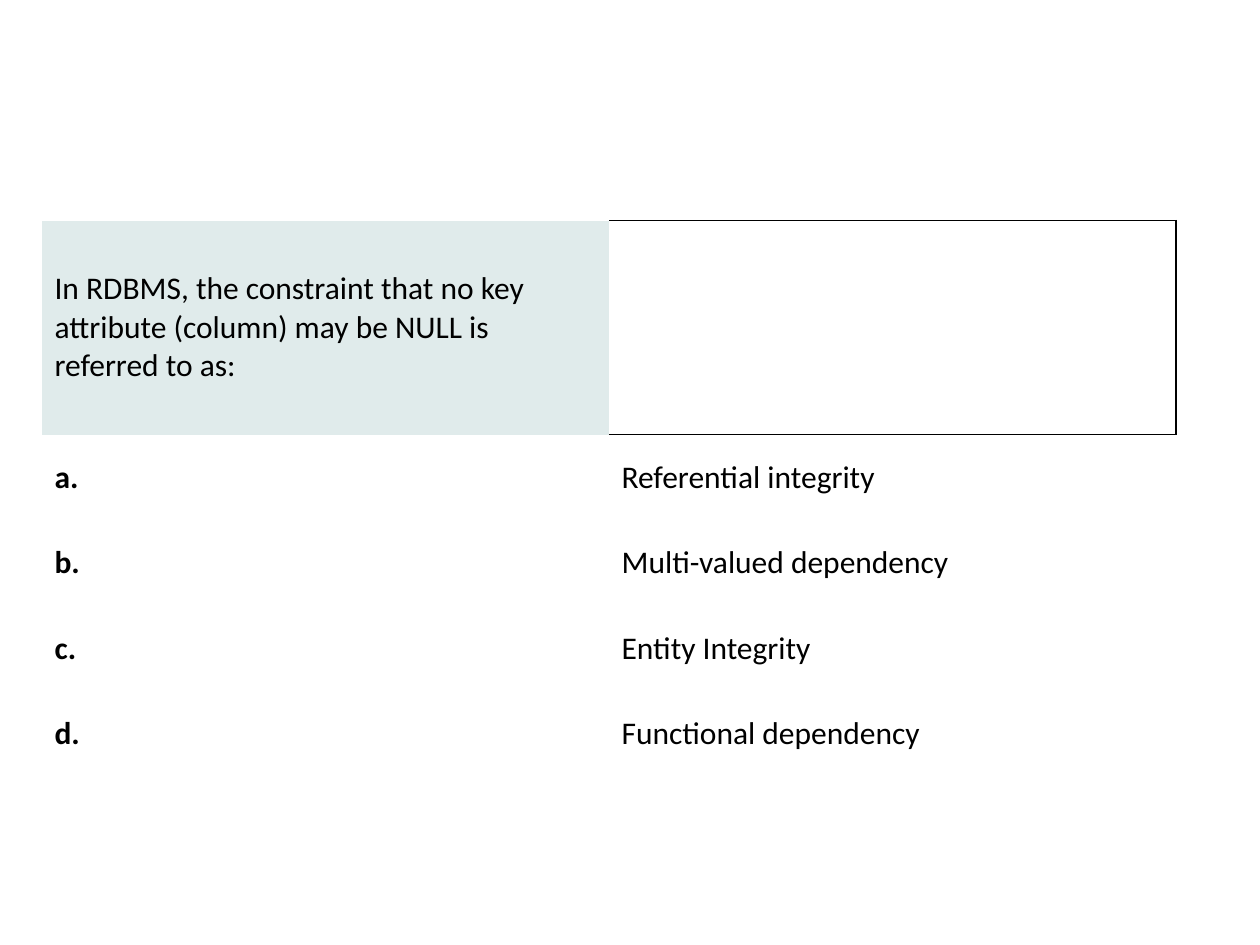
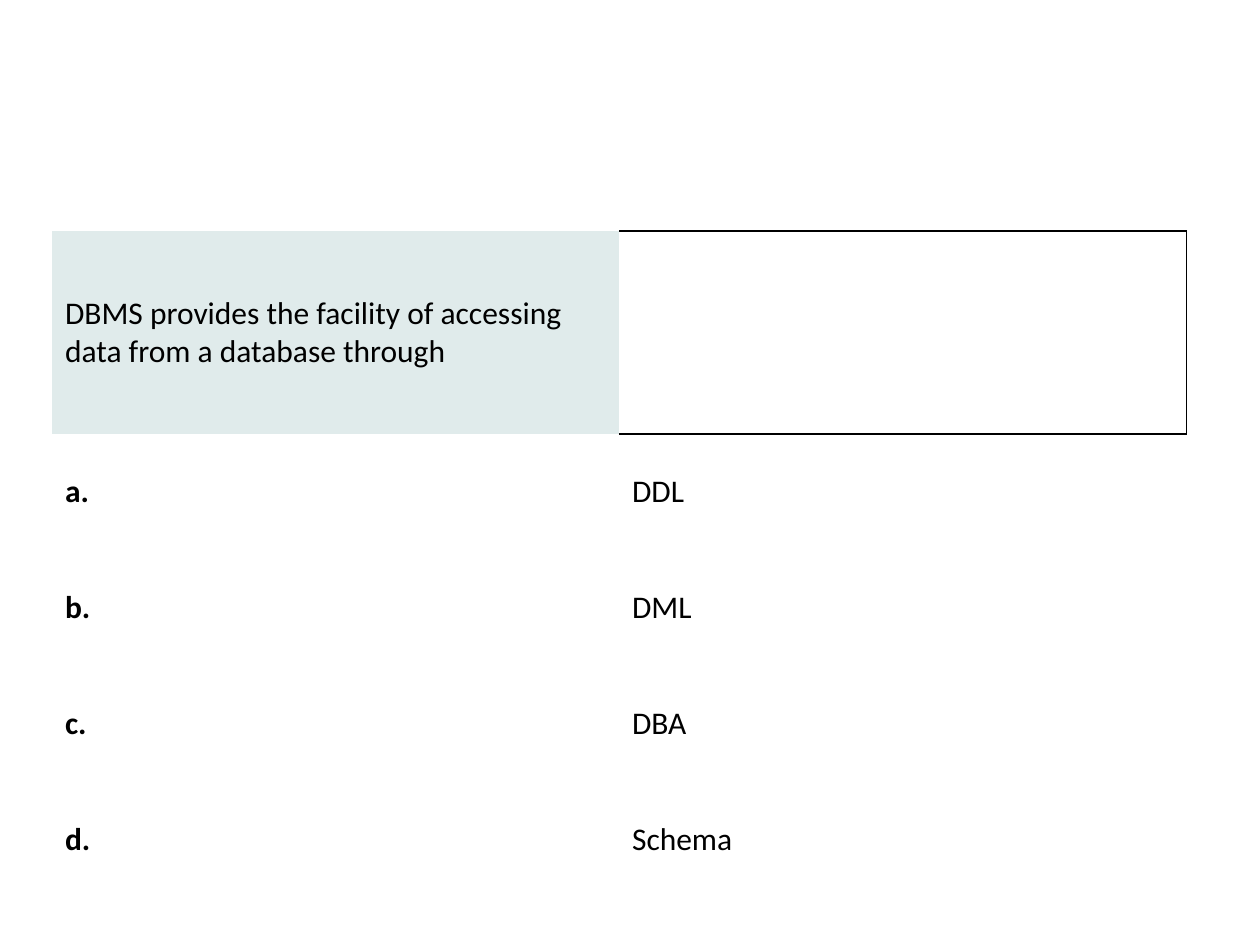
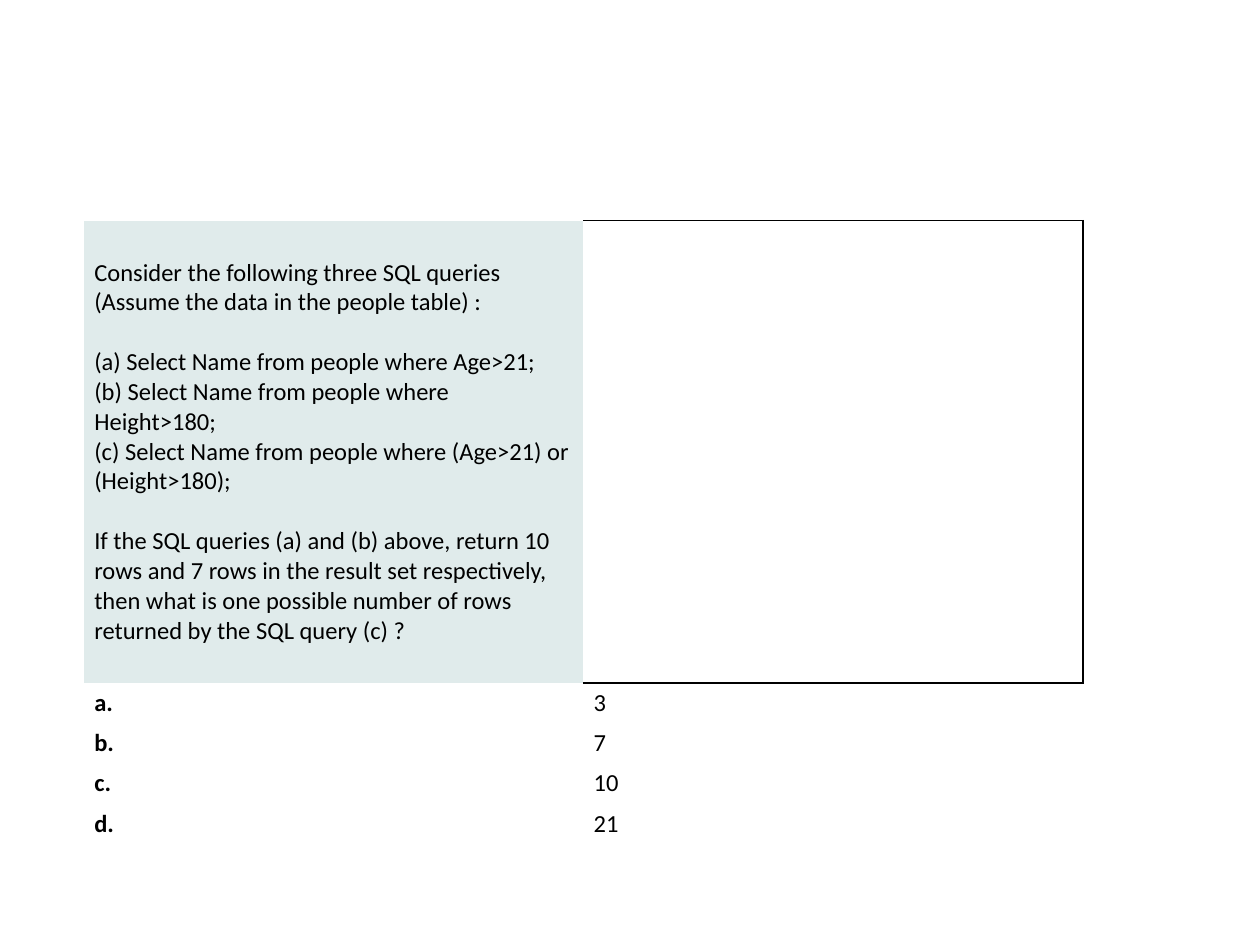
"""Build three multiple-choice question slides about databases."""
from lxml.etree import SubElement
from pptx import Presentation
from pptx.dml.color import RGBColor
from pptx.enum.text import MSO_ANCHOR
from pptx.oxml.ns import qn
from pptx.util import Pt

FONT = "Calibri"
INK = "000000"
QUESTION_FILL = "E0EBEB"
PLAIN_TABLE_STYLE = "{2D5ABB26-0587-4C30-8999-92F81FD0307C}"
BORDER_WIDTH = 1
LINE_HEIGHT = 1.22

QUESTIONS = [
    {
        "question": [["In RDBMS, the constraint that no key attribute (column) "
                      "may be NULL is referred to as:"]],
        "answers": ["Referential integrity", "Multi-valued dependency",
                    "Entity Integrity", "Functional dependency"],
        "left": 24, "top": 126, "width": 648,
        "question_height": 122.4, "answer_height": 48.9,
        "size": 18, "margins": (7.2, 3.6),
    },
    {
        "question": [["DBMS provides the facility of accessing data from a "
                      "database through"]],
        "answers": ["DDL", "DML", "DBA", "Schema"],
        "left": 30, "top": 132, "width": 648,
        "question_height": 116, "answer_height": 66.24,
        "size": 18, "margins": (7.2, 3.6),
    },
    {
        "question": [
            ["Consider the following three SQL queries (Assume the data in the "
             "people table) :"],
            ["(a) Select Name from people where Age>21;",
             "(b) Select Name from people where Height>180;",
             "(c) Select Name from people where (Age>21) or (Height>180);"],
            ["If the SQL queries (a) and (b) above, return 10 rows and 7 rows "
             "in the result set respectively, then what is one possible number "
             "of rows returned by the SQL query (c) ?"],
        ],
        "answers": ["3", "7", "10", "21"],
        "left": 48, "top": 126, "width": 570.8,
        "question_height": 264.2, "answer_height": 23.04,
        "size": 14, "margins": (5.9, 2.9),
    },
]


def color(value):
    return RGBColor.from_string(value)


def write_cell(cell, groups, size, margins, bold=False, fill=None):
    lines = [line for group in groups for line in group]
    cell.text_frame.text = "\n".join(lines)
    cell.vertical_anchor = MSO_ANCHOR.MIDDLE
    cell.margin_left = cell.margin_right = Pt(margins[0])
    cell.margin_top = cell.margin_bottom = Pt(margins[1])
    if fill:
        cell.fill.solid()
        cell.fill.fore_color.rgb = color(fill)
    else:
        cell.fill.background()
    paragraphs = cell.text_frame.paragraphs
    for paragraph in paragraphs:
        for run in paragraph.runs:
            run.font.name = FONT
            run.font.size = Pt(size)
            run.font.bold = bold
            run.font.color.rgb = color(INK)
    first = 0
    for group in groups[:-1]:
        first += len(group)
        paragraphs[first].space_before = Pt(size * LINE_HEIGHT)


def add_borders(cell, sides):
    properties = cell._tc.get_or_add_tcPr()
    for position, side in enumerate(sides):
        line = SubElement(properties, qn(f"a:ln{side}"), w=str(Pt(BORDER_WIDTH)))
        solid = SubElement(line, qn("a:solidFill"))
        SubElement(solid, qn("a:srgbClr"), val=INK)
        properties.insert(position, line)


def add_question(presentation, item):
    slide = presentation.slides.add_slide(presentation.slide_layouts[6])
    answers, size, margins = item["answers"], item["size"], item["margins"]
    heights = [item["question_height"]] + [item["answer_height"]] * len(answers)
    frame = slide.shapes.add_table(
        len(heights), 2, Pt(item["left"]), Pt(item["top"]),
        Pt(item["width"]), Pt(sum(heights)))
    table = frame.table
    table.first_row = table.horz_banding = False
    table._tbl.tblPr.find(qn("a:tableStyleId")).text = PLAIN_TABLE_STYLE
    for row, height in zip(table.rows, heights):
        row.height = Pt(height)
    write_cell(table.cell(0, 0), item["question"], size, margins, fill=QUESTION_FILL)
    table.cell(0, 1).fill.background()
    add_borders(table.cell(0, 1), "RTB")
    for row, (letter, answer) in enumerate(zip("abcd", answers), start=1):
        write_cell(table.cell(row, 0), [[f"{letter}."]], size, margins, bold=True)
        write_cell(table.cell(row, 1), [[answer]], size, margins)


presentation = Presentation()
presentation.slide_width, presentation.slide_height = Pt(720), Pt(540)
for item in QUESTIONS:
    add_question(presentation, item)
presentation.save("out.pptx")
